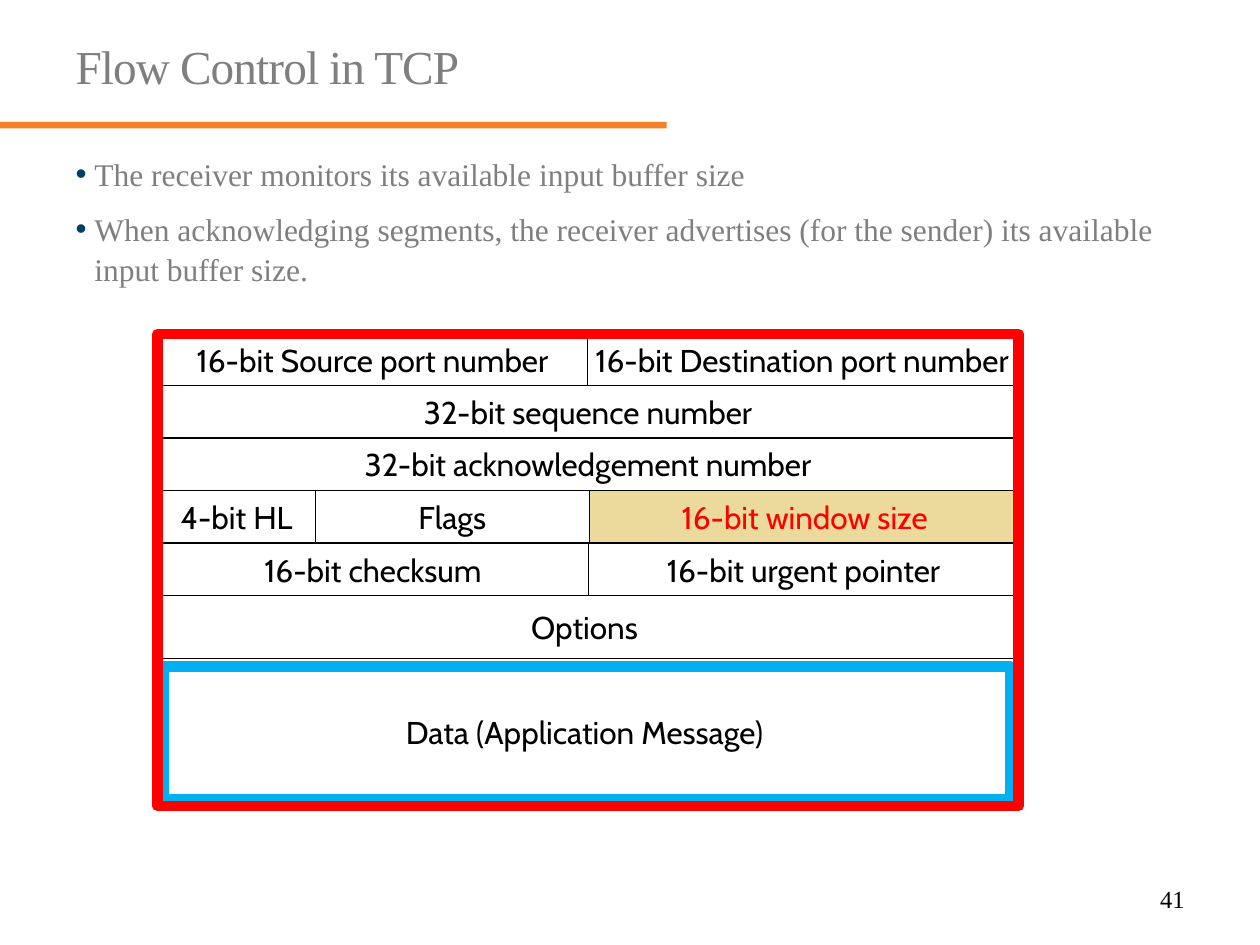
from lxml import etree
from pptx import Presentation
from pptx.dml.color import RGBColor
from pptx.enum.shapes import MSO_SHAPE
from pptx.enum.text import MSO_ANCHOR, MSO_AUTO_SIZE, PP_ALIGN
from pptx.oxml.ns import qn
from pptx.util import Cm, Pt

RECTANGLE = MSO_SHAPE.RECTANGLE
TOP, MIDDLE = MSO_ANCHOR.TOP, MSO_ANCHOR.MIDDLE
LEFT, CENTER, RIGHT = PP_ALIGN.LEFT, PP_ALIGN.CENTER, PP_ALIGN.RIGHT
NO_AUTOFIT = MSO_AUTO_SIZE.NONE
SERIF, SANS = "Times New Roman", "Cabin"
COLORS = {
    "orange": "F4812A", "gray": "7F7F7F", "navy": "004065", "black": "000000",
    "red": "FF0000", "blue": "00B0F0", "sand": "EBDA9B",
}
SEGMENT_LEFT, SEGMENT_TOP, SEGMENT_WIDTH = 3.18, 6.73, 17.35
HEADER_ROWS = [
    (1.04, [("16-bit Source port number", 8.66), ("16-bit Destination port number", 8.66)]),
    (1.06, [("32-bit sequence number", SEGMENT_WIDTH)]),
    (1.06, [("32-bit acknowledgement number", SEGMENT_WIDTH)]),
    (1.06, [("4-bit HL", 3.18), ("Flags", 5.52), ("16-bit window size", 8.69)]),
    (1.06, [("16-bit checksum", 8.68), ("16-bit urgent pointer", 8.68)]),
    (1.27, [("Options ", SEGMENT_WIDTH)]),
    (2.97, [("Data (Application Message) ", SEGMENT_WIDTH)]),
]
HIGHLIGHTED = "16-bit window size"
BULLETS = [
    "The receiver monitors its available input buffer size",
    "When acknowledging segments, the receiver advertises (for the sender) "
    "its available input buffer size.",
]


def color(name):
    """Return the named colour."""
    return RGBColor.from_string(COLORS[name])


def add_run(paragraph, text, size, font_name, color_name):
    """Add one formatted run to a paragraph."""
    run = paragraph.add_run()
    run.text = text
    run.font.size = Pt(size)
    run.font.name = font_name
    run.font.color.rgb = color(color_name)
    return run


def place(shape, left, top, width, height):
    """Move and size a shape in centimetres."""
    shape.left, shape.top = Cm(left), Cm(top)
    shape.width, shape.height = Cm(width), Cm(height)


def add_rectangle(slide, box, fill=None, line=None, line_width=0.75):
    """Add a plain rectangle with optional fill and outline."""
    shape = slide.shapes.add_shape(RECTANGLE, *map(Cm, box))
    shape.shadow.inherit = False
    if fill:
        shape.fill.solid()
        shape.fill.fore_color.rgb = color(fill)
    else:
        shape.fill.background()
    if line:
        shape.line.color.rgb = color(line)
        shape.line.width = Pt(line_width)
    else:
        shape.line.fill.background()
    return shape


def add_field(slide, text, box):
    """Add one labelled field of the segment."""
    highlighted = text == HIGHLIGHTED
    shape = add_rectangle(slide, box, "sand" if highlighted else None, "black")
    frame = shape.text_frame
    frame.word_wrap = False
    frame.vertical_anchor = MIDDLE
    paragraph = frame.paragraphs[0]
    paragraph.alignment = CENTER
    add_run(paragraph, text, 18, SANS, "red" if highlighted else "black")


def add_segment(slide):
    """Draw the rows of the segment and the frames around them."""
    top = SEGMENT_TOP
    for height, fields in HEADER_ROWS:
        left = SEGMENT_LEFT
        for text, width in fields:
            add_field(slide, text, (left, top, width, height))
            left += width
        top += height
    add_rectangle(slide, (3.3, 13.44, 17.07, 2.67), line="blue", line_width=6)
    frame_box = (SEGMENT_LEFT, SEGMENT_TOP, SEGMENT_WIDTH, top - SEGMENT_TOP)
    add_rectangle(slide, frame_box, line="red", line_width=6)


def fill_title(title):
    """Place and write the slide title."""
    place(title, 1.27, 0.76, 22.86, 1.7)
    frame = title.text_frame
    frame.auto_size = NO_AUTOFIT
    frame.vertical_anchor = TOP
    paragraph = frame.paragraphs[0]
    paragraph.alignment = LEFT
    paragraph.line_spacing = 0.9
    run = add_run(paragraph, "Flow Control in TCP", 27, SERIF, "gray")
    run.font._element.set("spc", "-50")


def add_bullet(paragraph):
    """Give a paragraph a coloured bullet and a hanging indent."""
    properties = paragraph._p.get_or_add_pPr()
    properties.set("marL", str(Cm(0.38)))
    properties.set("indent", str(-Cm(0.38)))
    bullet_color = etree.SubElement(properties, qn("a:buClr"))
    etree.SubElement(bullet_color, qn("a:srgbClr"), val=COLORS["navy"])
    etree.SubElement(properties, qn("a:buFont"), typeface="Arial")
    etree.SubElement(properties, qn("a:buChar"), char="•")


def fill_body(body):
    """Place the body and write its bullets."""
    place(body, 1.27, 2.95, 22.86, 4.09)
    frame = body.text_frame
    frame.auto_size = NO_AUTOFIT
    for index, text in enumerate(BULLETS):
        paragraph = frame.add_paragraph() if index else frame.paragraphs[0]
        add_bullet(paragraph)
        paragraph.space_before = Pt(9 if index else 0)
        paragraph.line_spacing = 1.05
        add_run(paragraph, text, 18, SERIF, "gray")


def add_page_number(slide):
    """Write the page number at the bottom right."""
    box = slide.shapes.add_textbox(Cm(18.21), Cm(17.7), Cm(5.92), Cm(1.02))
    box.text_frame.word_wrap = True
    paragraph = box.text_frame.paragraphs[0]
    paragraph.alignment = RIGHT
    add_run(paragraph, "41", 14, SERIF, "black")


def main():
    """Build and save the slide."""
    presentation = Presentation()
    presentation.slide_width, presentation.slide_height = Cm(25.4), Cm(19.05)
    slide = presentation.slides.add_slide(presentation.slide_layouts[1])
    add_rectangle(slide, (0, 2.46, 13.44, 0.13), fill="orange")
    add_page_number(slide)
    fill_title(slide.shapes.title)
    fill_body(slide.placeholders[1])
    add_segment(slide)
    presentation.save("out.pptx")


if __name__ == "__main__":
    main()
